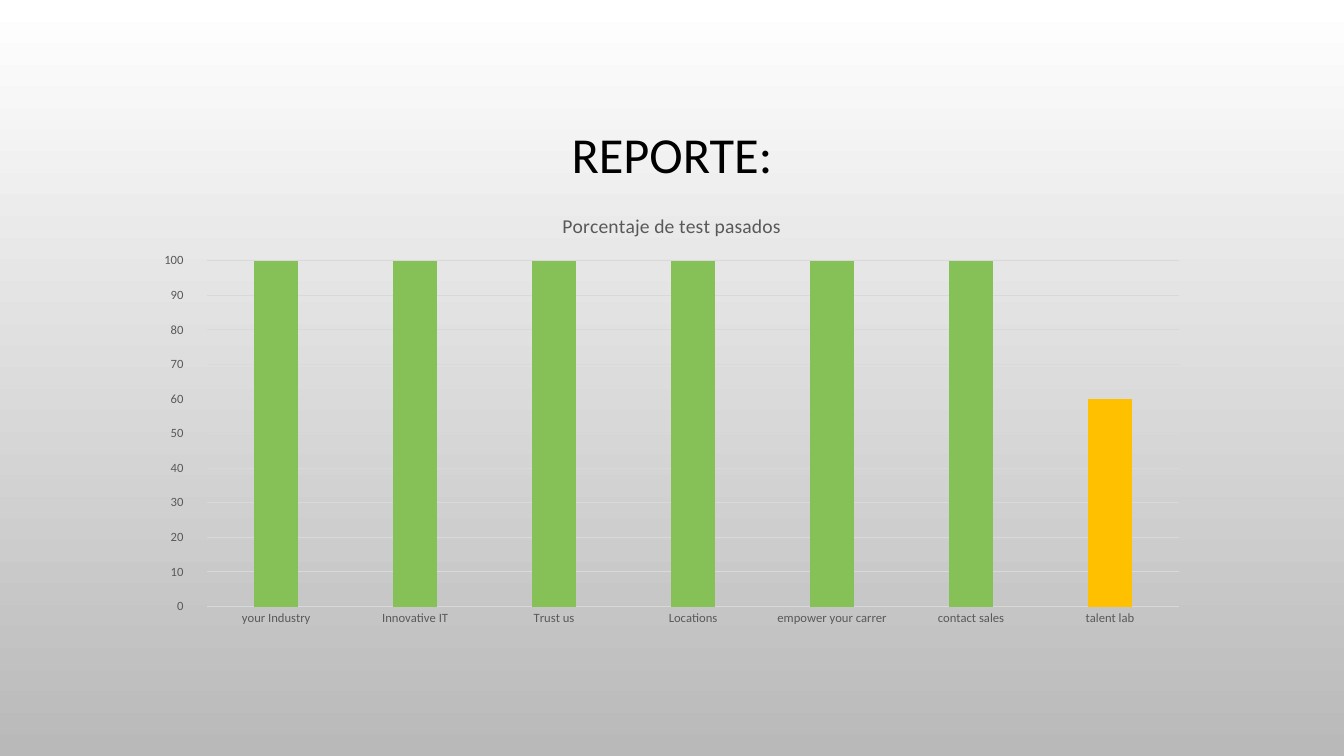
from pptx import Presentation
from pptx.chart.data import CategoryChartData
from pptx.dml.color import RGBColor
from pptx.enum.chart import XL_CHART_TYPE, XL_TICK_MARK
from pptx.enum.text import MSO_ANCHOR, PP_ALIGN
from pptx.util import Pt

FONT = "Calibri"
GREY = "595959"
GRID = "D9D9D9"


def color(hex_code):
    return RGBColor.from_string(hex_code)


def style_font(font, size, hex_code):
    font.name = FONT
    font.size = Pt(size)
    font.bold = False
    font.color.rgb = color(hex_code)


deck = Presentation()
deck.slide_width = Pt(960)
deck.slide_height = Pt(540)
page = deck.slides.add_slide(deck.slide_layouts[6])

# Background: white at the top, grey at the bottom
background = page.background.fill
background.gradient()
background.gradient_angle = 270
for stop, position, shade in zip(background.gradient_stops, (0, 1), ("FFFFFF", "B9B9B9")):
    stop.position = position
    stop.color.rgb = color(shade)

# Title
title_box = page.shapes.add_textbox(Pt(72), Pt(49), Pt(816), Pt(126))
title_frame = title_box.text_frame
title_frame.word_wrap = True
title_frame.vertical_anchor = MSO_ANCHOR.MIDDLE
title_frame.text = "REPORTE:"
title_para = title_frame.paragraphs[0]
title_para.alignment = PP_ALIGN.CENTER
title_para.line_spacing = 0.9
style_font(title_para.runs[0].font, 36, "000000")

# Chart of passed tests
results = {
    "your Industry": 100,
    "Innovative IT": 100,
    "Trust us": 100,
    "Locations": 100,
    "empower your carrer": 100,
    "contact sales": 100,
    "talent lab": 60,
}
chart_title = "Porcentaje de test pasados"
data = CategoryChartData()
data.categories = list(results)
data.add_series(chart_title, list(results.values()))
chart = page.shapes.add_chart(
    XL_CHART_TYPE.COLUMN_CLUSTERED, Pt(102.24), Pt(138.96), Pt(755.28), Pt(313.92), data
).chart
style_font(chart.font, 10, "000000")
chart.has_legend = False
chart.has_title = True
chart.chart_title.include_in_layout = False
chart.chart_title.text_frame.text = chart_title
style_font(chart.chart_title.text_frame.paragraphs[0].runs[0].font, 14, GREY)

plot = chart.plots[0]
plot.gap_width = 219
plot.overlap = -27
plot.vary_by_categories = False
series = plot.series[0]
series.invert_if_negative = False
series.format.fill.solid()
series.format.fill.fore_color.rgb = color("86C157")
for index, value in enumerate(results.values()):
    if value < 100:
        failing_fill = series.points[index].format.fill
        failing_fill.solid()
        failing_fill.fore_color.rgb = color("FFC000")

# Axes and gridlines
for axis in (chart.category_axis, chart.value_axis):
    axis.major_tick_mark = XL_TICK_MARK.NONE
    axis.minor_tick_mark = XL_TICK_MARK.NONE
    style_font(axis.tick_labels.font, 9, GREY)

value_axis = chart.value_axis
value_axis.minimum_scale = 0
value_axis.maximum_scale = 100
value_axis.major_unit = 10
value_axis.tick_labels.number_format = r"#\ ?/?"
value_axis.tick_labels.number_format_is_linked = False
value_axis.format.line.fill.background()
value_axis.has_major_gridlines = True
for line in (chart.category_axis.format.line, value_axis.major_gridlines.format.line):
    line.width = Pt(0.75)
    line.color.rgb = color(GRID)

deck.save("out.pptx")
